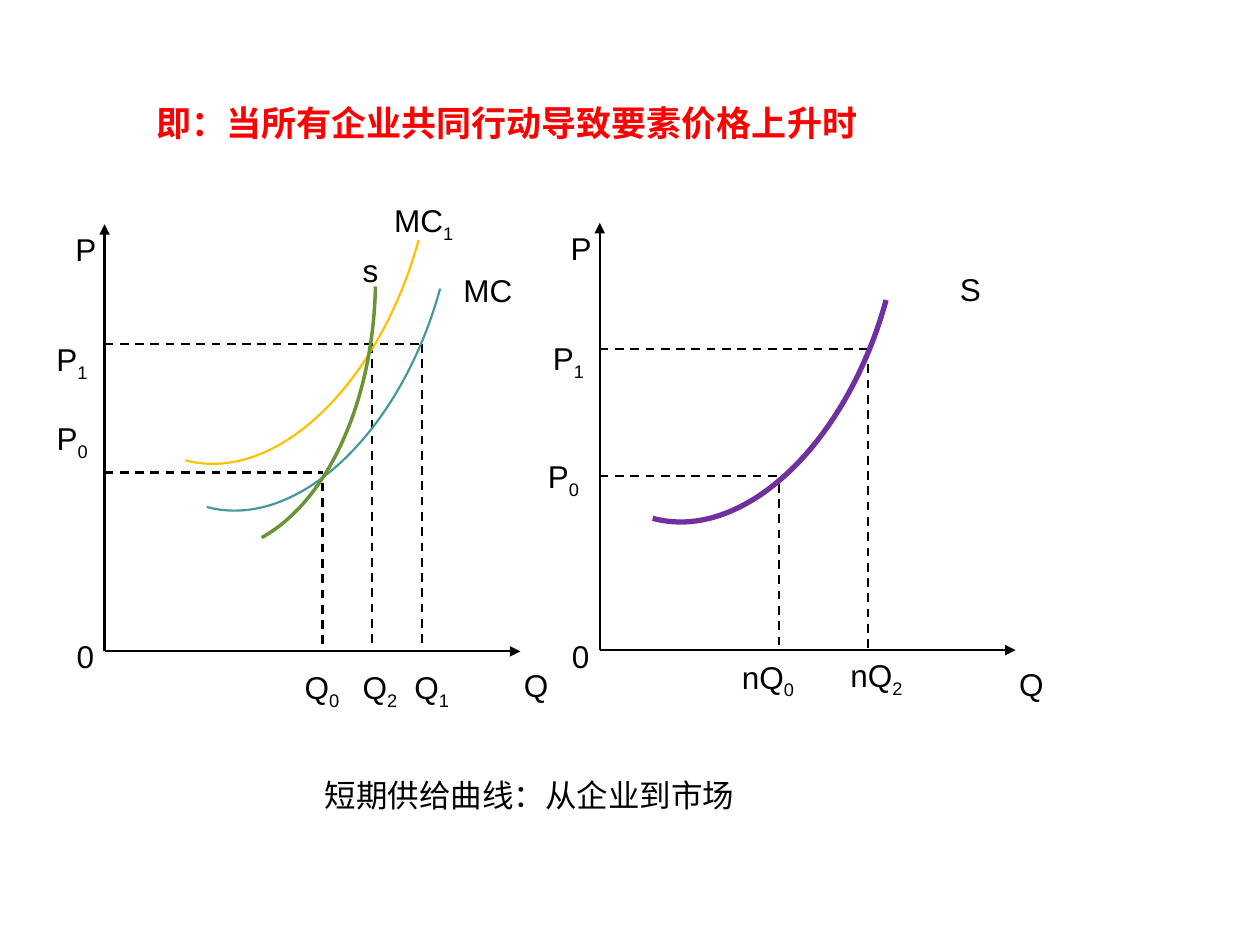
from pptx import Presentation
from pptx.util import Inches, Pt
from pptx.dml.color import RGBColor
from pptx.enum.dml import MSO_LINE as Dash
from pptx.enum.shapes import MSO_SHAPE as Shape, MSO_CONNECTOR as Conn
from pptx.enum.text import MSO_AUTO_SIZE as Fit
from pptx.oxml.ns import qn
from lxml import etree

deck = Presentation()
deck.slide_width, deck.slide_height = Inches(10), Inches(7.5)
slide = deck.slides.add_slide(deck.slide_layouts[6])
shapes = slide.shapes
color = RGBColor.from_string


def rule(x1, y1, x2, y2, arrow=False):
    """Draw an axis with an arrowhead, or a dashed guide."""
    line = shapes.add_connector(
        Conn.STRAIGHT, Inches(x1), Inches(y1), Inches(x2), Inches(y2))
    line.line.color.rgb = color("000000")
    line.line.width = Pt(1.25)
    props = line._element.spPr
    if arrow:
        etree.SubElement(line.line._get_or_add_ln(), qn("a:tailEnd"), type="triangle")
    else:
        line.line.dash_style = Dash.DASH
    etree.SubElement(props, qn("a:effectLst"))


def label(text, sub, x, y, wide, wrap=False, high=0.4, **extra):
    """Write a text box with an optional subscript."""
    box = shapes.add_textbox(Inches(x), Inches(y), Inches(wide), Inches(high))
    frame = box.text_frame
    frame.word_wrap = wrap
    frame.auto_size = Fit.SHAPE_TO_FIT_TEXT
    style = {"name": "Arial", "size": Pt(18), **extra}
    tint = style.pop("tint", "000000")
    for part, base in ((text, None), (sub, "-25000")):
        if not part:
            continue
        run = frame.paragraphs[0].add_run()
        run.text = part
        for key, value in style.items():
            setattr(run.font, key, value)
        run.font.color.rgb = color(tint)
        if base:
            run._r.get_or_add_rPr().set("baseline", base)


# Axes and their names, firm on the left and market on the right
for x, y in ((0.83, 5.17), (4.76, 5.16)):
    rule(x, y, x, y - 3.39, arrow=True)
    rule(x, y, x + 3.3, y, arrow=True)
    label("P", "", x - 0.33, y - 3.39, 0.37)
    label("Q", "", x + 3.23, y + 0.07, 0.4)
    label("0", "", x - 0.32, 5.01, 0.34)

# Dashed price and quantity guides
guides = [
    (0.83, 3.75, 2.56, 3.75), (2.56, 3.83, 2.56, 5.17),
    (0.83, 2.73, 3.35, 2.73), (3.35, 2.73, 3.35, 5.16),
    (2.95, 2.73, 2.95, 5.17),
    (4.76, 2.77, 6.89, 2.77), (6.89, 2.77, 6.89, 5.16),
    (4.76, 3.78, 6.18, 3.78), (6.18, 3.84, 6.18, 5.17),
]
for ends in guides:
    rule(*ends)

# Curves: MC, MC1, market supply, firm supply
curves = [
    (0.05, 0.61, 4.32, 2.66, 105.3, "4597A0", 1.25, None),
    (-0.13, 0.23, 4.35, 2.65, 105.3, "FFC000", 1.25, None),
    (3.59, 0.7, 4.32, 2.66, 105.3, "7030A0", 3, None),
    (-0.52, 0.88, 4.35, 2.65, 90, "6A9435", 2, (163.79, 209.06)),
]
for x, y, wide, high, turn, tint, thick, span in curves:
    arc = shapes.add_shape(
        Shape.ARC, Inches(x), Inches(y), Inches(wide), Inches(high))
    arc.rotation = turn
    arc.shadow.inherit = False
    arc.fill.background()
    arc.line.color.rgb = color(tint)
    arc.line.width = Pt(thick)
    if span:
        arc.adjustments[0], arc.adjustments[1] = span

# Curve, price and quantity labels
marks = [
    ("MC", "", 3.58, 2.1, 0.59),
    ("MC", "1", 3.03, 1.55, 0.69),
    ("s", "", 2.78, 1.94, 0.33),
    ("S", "", 7.52, 2.09, 0.37),
    ("P", "0", 0.35, 3.28, 0.51, True),
    ("P", "1", 0.35, 2.65, 0.46),
    ("P", "0", 4.25, 3.58, 0.51, True),
    ("P", "1", 4.29, 2.64, 0.51, True),
    ("Q", "0", 2.32, 5.25, 0.49),
    ("Q", "2", 2.78, 5.25, 0.49),
    ("Q", "1", 3.19, 5.25, 0.49),
    ("nQ", "0", 5.79, 5.17, 0.71, True),
    ("nQ", "2", 6.65, 5.16, 0.63),
]
for mark in marks:
    label(*mark)

# Title and caption
label("即：当所有企业共同行动导致要素价格上升时", "", 1.14, 0.76, 5.83, True, 0.44,
      size=Pt(20), bold=True, tint="FF0000")
label("短期供给曲线：从企业到市场", "", 2.48, 6.11, 3.78, True)

deck.save("out.pptx")
